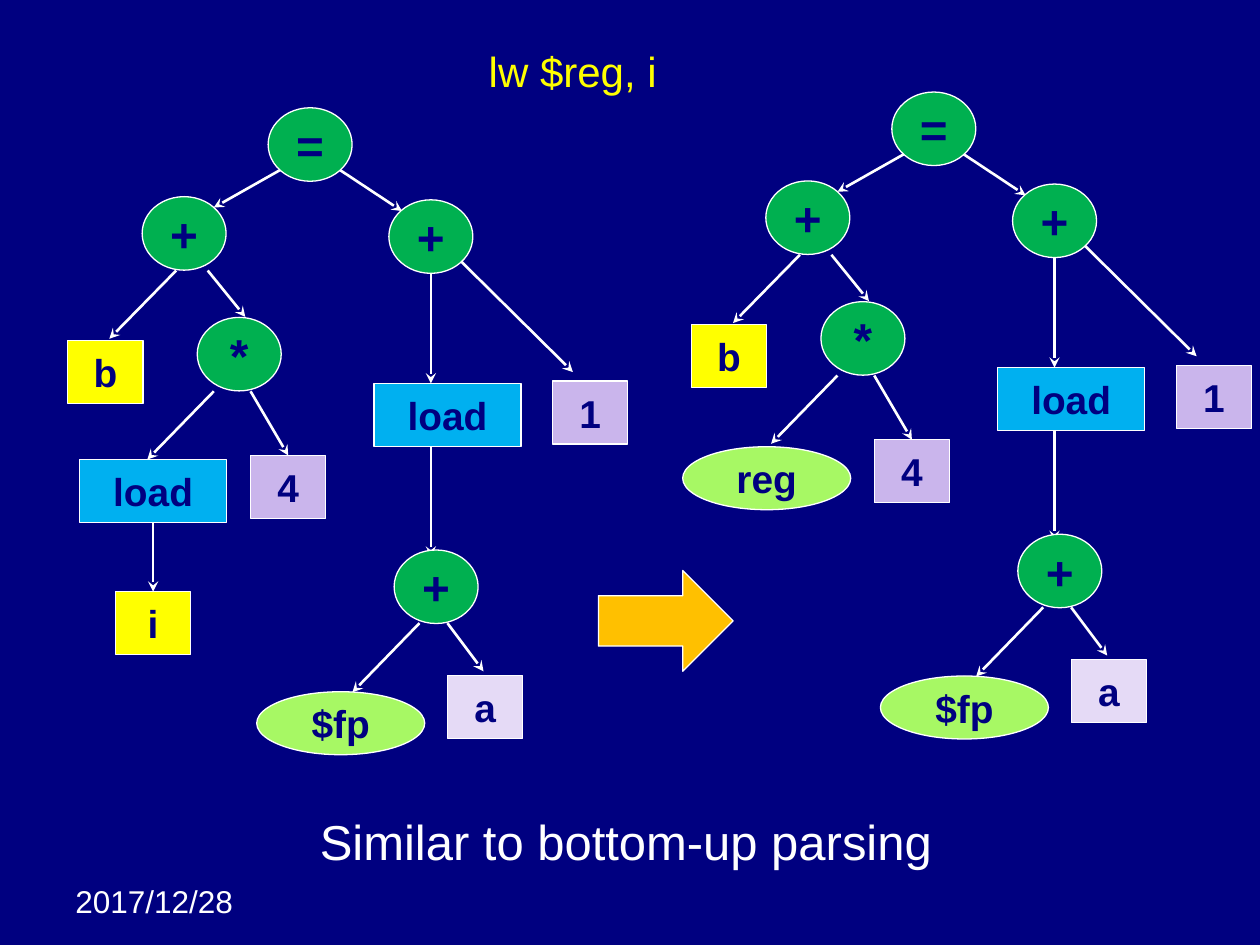
from lxml import etree
from pptx import Presentation
from pptx.dml.color import RGBColor
from pptx.enum.shapes import MSO_CONNECTOR, MSO_SHAPE
from pptx.enum.text import MSO_ANCHOR, PP_ALIGN
from pptx.oxml.ns import qn
from pptx.util import Pt

OVAL, RECTANGLE = MSO_SHAPE.OVAL, MSO_SHAPE.RECTANGLE
RIGHT_ARROW = MSO_SHAPE.RIGHT_ARROW
STRAIGHT = MSO_CONNECTOR.STRAIGHT
MIDDLE, CENTER = MSO_ANCHOR.MIDDLE, PP_ALIGN.CENTER
TOP_SIDE, BOTTOM_SIDE = 0, 2

COLORS = {
    "navy": "000080", "white": "FFFFFF", "yellow": "FFFF00",
    "green": "00B050", "lime": "A7F864", "blue": "00B0F0",
    "violet": "CAB5EC", "lilac": "E5DAF6", "orange": "FFC000",
}

# kind: preset, width, height, fill, text size
NODE_KINDS = {
    "operator": (OVAL, 48, 42, "green", 27.2),
    "register": (OVAL, 96, 36, "lime", 22.2),
    "variable": (RECTANGLE, 43, 36, "yellow", 22.2),
    "constant": (RECTANGLE, 43, 36, "violet", 22.2),
    "offset": (RECTANGLE, 43, 36, "lilac", 22.2),
    "load": (RECTANGLE, 84, 36, "blue", 22.2),
}

# kind, text, left, top, all relative to the tree's box
COMMON_NODES = [
    ("operator", "=", 114.5, 0),
    ("operator", "+", 42.5, 50.8),
    ("operator", "*", 74, 119.8),
    ("operator", "+", 183.5, 52.6),
    ("operator", "+", 186.5, 252.7),
    ("variable", "b", 0, 133),
    ("load", "load", 175, 157.5),
    ("constant", "1", 277, 156.2),
    ("offset", "a", 217, 324.3),
    ("register", "$fp", 108, 333.7),
]
FOUR_NODE = ("constant", "4", 104.5, 198.7)
LOAD_NODE = ("load", "load", 6.8, 201)
INDEX_NODE = ("variable", "i", 27.3, 276.5)
REGISTER_NODE = ("register", "reg", -5, 202.7)

# start x, start y, end x, end y, relative to the tree's box
EDGES = [
    (121.5, 35.5, 83.5, 57), (155.5, 35.5, 191, 59),
    (80, 93, 101.5, 119.5), (62, 93, 23.8, 132),
    (83.5, 162, 45.5, 201), (207.5, 94.5, 207.5, 157.5),
    (207.5, 193.5, 207.5, 256.5), (201, 294.5, 162.7, 334),
    (217, 294.5, 237.6, 322), (224, 87, 288.7, 151),
]
FOUR_EDGE_START = (104.5, 162)


def rgb(name):
    return RGBColor.from_string(COLORS[name])


def set_text(shape, text, font_format, paragraph_format):
    paragraph = shape.text_frame.paragraphs[0]
    for name, value in paragraph_format.items():
        setattr(paragraph, name, value)
    run = paragraph.add_run()
    run.text = text
    color = font_format["color"]
    attributes = {"name": "Arial", "size": Pt(font_format["size"]),
                  "bold": font_format["bold"]}
    for name, value in attributes.items():
        setattr(run.font, name, value)
    run.font.color.rgb = rgb(color)


def add_filled_shape(slide, preset, left, top, width, height, fill):
    shape = slide.shapes.add_shape(preset, Pt(left), Pt(top), Pt(width), Pt(height))
    shape.shadow.inherit = False
    shape.fill.solid()
    shape.fill.fore_color.rgb = rgb(fill)
    shape.line.color.rgb = rgb("white")
    shape.line.width = Pt(0.75)
    return shape


def add_node(slide, tree_left, tree_top, node):
    kind, text, left, top = node
    preset, width, height, fill, size = NODE_KINDS[kind]
    shape = add_filled_shape(slide, preset, tree_left + left, tree_top + top,
                             width, height, fill)
    shape.text_frame.vertical_anchor = MIDDLE
    set_text(shape, text, {"size": size, "bold": True, "color": "navy"},
             {"alignment": CENTER, "space_before": Pt(2.4)})
    return shape


def add_edge(slide, start_x, start_y, end_x, end_y):
    """Add a white line with a stealth arrowhead at its end."""
    connector = slide.shapes.add_connector(
        STRAIGHT, Pt(start_x), Pt(start_y), Pt(end_x), Pt(end_y))
    connector.line.color.rgb = rgb("white")
    connector.line.width = Pt(1.5)
    etree.SubElement(connector.line._get_or_add_ln(), qn("a:tailEnd"), type="stealth")
    etree.SubElement(connector._element.spPr, qn("a:effectLst"))
    return connector


def add_tree(slide, left, top, has_index_load):
    """Draw the expression tree, with either load of i or reg as the factor of 4."""
    for start_x, start_y, end_x, end_y in EDGES:
        add_edge(slide, left + start_x, top + start_y, left + end_x, top + end_y)
    for node in COMMON_NODES:
        add_node(slide, left, top, node)

    four = add_node(slide, left, top, FOUR_NODE)
    start_x, start_y = FOUR_EDGE_START
    edge = add_edge(slide, left + start_x, top + start_y, left + start_x, top + start_y)
    edge.end_connect(four, TOP_SIDE)

    if has_index_load:
        load = add_node(slide, left, top, LOAD_NODE)
        index = add_node(slide, left, top, INDEX_NODE)
        edge = add_edge(slide, left, top, left, top)
        edge.begin_connect(load, BOTTOM_SIDE)
        edge.end_connect(index, TOP_SIDE)
    else:
        add_node(slide, left, top, REGISTER_NODE)


def add_label(slide, left, top, width, height, text, size, color):
    box = slide.shapes.add_textbox(Pt(left), Pt(top), Pt(width), Pt(height))
    box.text_frame.word_wrap = True
    set_text(box, text, {"size": size, "bold": False, "color": color}, {})


def main():
    presentation = Presentation()
    presentation.slide_width, presentation.slide_height = Pt(720), Pt(540)
    slide = presentation.slides.add_slide(presentation.slide_layouts[6])
    slide.background.fill.solid()
    slide.background.fill.fore_color.rgb = rgb("navy")

    add_label(slide, 36, 500.5, 114, 29, "2017/12/28", 18, "white")
    add_tree(slide, 38.7, 61.6, True)
    add_tree(slide, 395.1, 52.6, False)
    add_filled_shape(slide, RIGHT_ARROW, 342, 326, 77, 57.6, "orange")
    add_label(slide, 175.7, 460, 364, 41, "Similar to bottom-up parsing", 28, "white")
    add_label(slide, 272.2, 22.3, 117, 36, "lw $reg, i", 24, "yellow")
    presentation.save("out.pptx")


if __name__ == "__main__":
    main()
